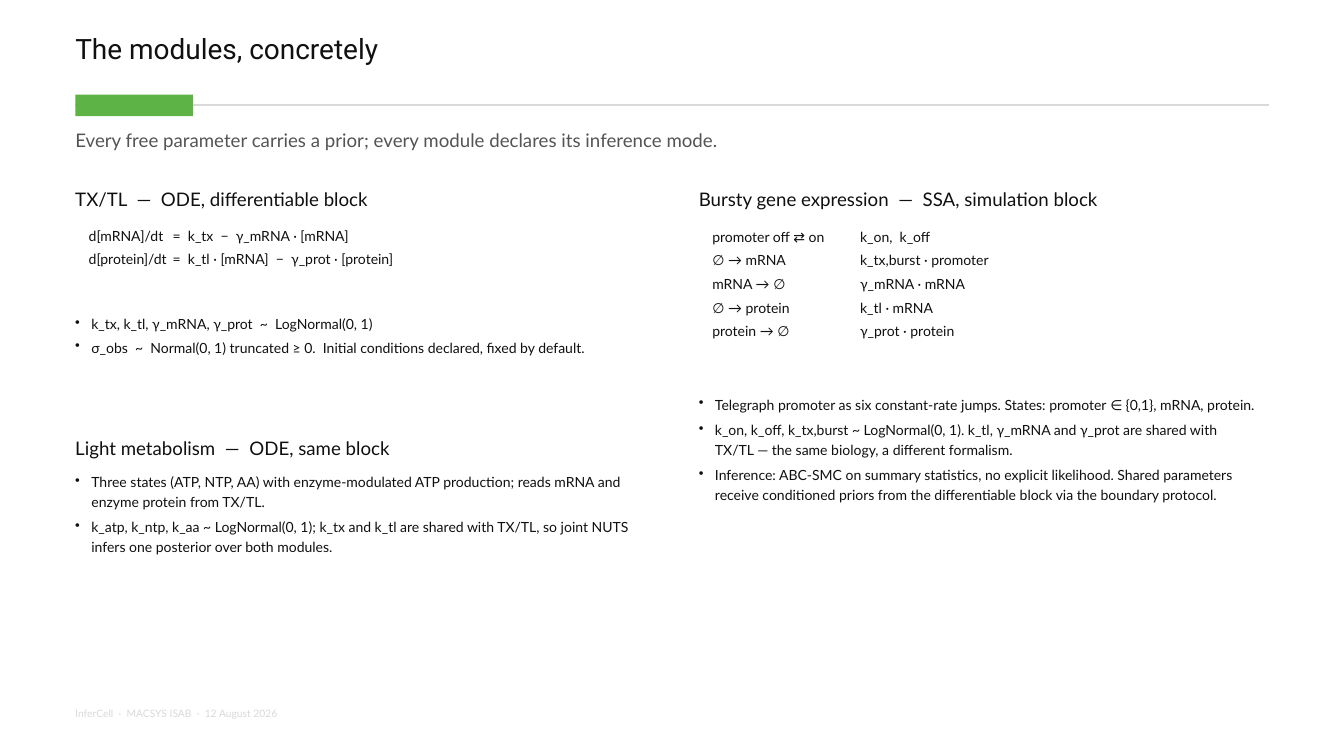
"""Build the slide that lists the model modules with their equations and priors."""
from lxml.etree import SubElement
from pptx import Presentation
from pptx.dml.color import RGBColor
from pptx.enum.shapes import MSO_CONNECTOR, MSO_SHAPE
from pptx.enum.text import MSO_ANCHOR, MSO_AUTO_SIZE, PP_ALIGN
from pptx.oxml.ns import qn
from pptx.util import Inches, Pt

INK = RGBColor(0x10, 0x10, 0x10)
GREY = RGBColor(0x54, 0x54, 0x54)
PALE = RGBColor(0xD9, 0xD9, 0xD9)
GREEN = RGBColor(0x5E, 0xB3, 0x46)

LEFT, RIGHT = 1.12, 10.4
COLUMN_W, FULL_W = 8.3, 17.75
EQUATION_INDENT = 0.2
BULLET_INDENT = Inches(0.24)


def write(box, lines, size, color=INK, font="Lato", spacing=None, gap=0):
    frame = box.text_frame
    frame.word_wrap = True
    frame.auto_size = MSO_AUTO_SIZE.NONE
    frame.vertical_anchor = MSO_ANCHOR.TOP
    frame.margin_left = frame.margin_right = 0
    frame.margin_top = frame.margin_bottom = 0
    frame.text = "\n".join(lines)
    for number, paragraph in enumerate(frame.paragraphs):
        paragraph.alignment = PP_ALIGN.LEFT
        paragraph.line_spacing = spacing
        paragraph.space_before = Pt(gap if number else 0)
        for run in paragraph.runs:
            run.font.size = Pt(size)
            run.font.name = font
            run.font.color.rgb = color
    return frame.paragraphs


prs = Presentation()
prs.slide_width, prs.slide_height = Inches(20), Inches(11.25)
slide = prs.slides.add_slide(prs.slide_layouts[5])


def add_text(left, top, width, height, lines, size, **style):
    box = slide.shapes.add_textbox(Inches(left), Inches(top), Inches(width), Inches(height))
    return write(box, lines, size, **style)


title = slide.shapes.title
title.left, title.top = Inches(LEFT), Inches(0.51)
title.width, title.height = Inches(FULL_W), Inches(0.95)
write(title, ["The modules, concretely"], 30, font="Roboto", spacing=0.95)

rule = slide.shapes.add_connector(
    MSO_CONNECTOR.STRAIGHT, Inches(LEFT), Inches(1.56), Inches(18.88), Inches(1.56))
rule.line.color.rgb = PALE
rule.line.width = Pt(1.5)
SubElement(rule._element.spPr, qn("a:effectLst"))

accent = slide.shapes.add_shape(
    MSO_SHAPE.RECTANGLE, Inches(LEFT), Inches(1.41), Inches(1.75), Inches(0.32))
accent.shadow.inherit = False
accent.fill.solid()
accent.fill.fore_color.rgb = GREEN
accent.line.fill.background()

add_text(LEFT, 1.92, FULL_W, 0.55,
         ["Every free parameter carries a prior; every module declares its inference mode."],
         20, color=GREY)
add_text(LEFT, 10.52, 12.43, 0.32, ["InferCell  ·  MACSYS ISAB  ·  12 August 2026"],
         11, color=PALE)

headings = [
    (LEFT, 2.8, "TX/TL  —  ODE, differentiable block"),
    (LEFT, 6.5, "Light metabolism  —  ODE, same block"),
    (RIGHT, 2.8, "Bursty gene expression  —  SSA, simulation block"),
]
for left, top, heading in headings:
    add_text(left, top, COLUMN_W, 0.42, [heading], 20)

equation_sets = [
    (LEFT, 1.2, 1.35, 1.25, [
        "d[mRNA]/dt\t=  k_tx  −  γ_mRNA · [mRNA]",
        "d[protein]/dt\t=  k_tl · [mRNA]  −  γ_prot · [protein]",
    ]),
    (RIGHT, 2.3, 1.4, 2.2, [
        "promoter off ⇄ on\tk_on,  k_off",
        "∅ → mRNA\tk_tx,burst · promoter",
        "mRNA → ∅\tγ_mRNA · mRNA",
        "∅ → protein\tk_tl · mRNA",
        "protein → ∅\tγ_prot · protein",
    ]),
]
for left, height, spacing, tab_stop, equations in equation_sets:
    for paragraph in add_text(left + EQUATION_INDENT, 3.3, COLUMN_W - EQUATION_INDENT,
                              height, equations, 15, spacing=spacing):
        tabs = SubElement(paragraph._p.get_or_add_pPr(), qn("a:tabLst"))
        SubElement(tabs, qn("a:tab"), pos=str(Inches(tab_stop)), algn="l")

bullet_lists = [
    (LEFT, 4.65, 1.6, 4, [
        "k_tx, k_tl, γ_mRNA, γ_prot  ~  LogNormal(0, 1)",
        "σ_obs  ~  Normal(0, 1) truncated ≥ 0.  Initial conditions declared, fixed by default.",
    ]),
    (LEFT, 7, 2.6, 6, [
        "Three states (ATP, NTP, AA) with enzyme-modulated ATP production; "
        "reads mRNA and enzyme protein from TX/TL.",
        "k_atp, k_ntp, k_aa ~ LogNormal(0, 1); k_tx and k_tl are shared with TX/TL, "
        "so joint NUTS infers one posterior over both modules.",
    ]),
    (RIGHT, 5.85, 3.4, 6, [
        "Telegraph promoter as six constant-rate jumps. "
        "States: promoter ∈ {0,1}, mRNA, protein.",
        "k_on, k_off, k_tx,burst ~ LogNormal(0, 1). k_tl, γ_mRNA and γ_prot "
        "are shared with TX/TL — the same biology, a different formalism.",
        "Inference: ABC-SMC on summary statistics, no explicit likelihood. "
        "Shared parameters receive conditioned priors from the differentiable block "
        "via the boundary protocol.",
    ]),
]
for left, top, height, gap, points in bullet_lists:
    for paragraph in add_text(left, top, COLUMN_W, height, points, 15, spacing=1.18, gap=gap):
        properties = paragraph._p.get_or_add_pPr()
        properties.set("marL", str(BULLET_INDENT))
        properties.set("indent", str(-BULLET_INDENT))
        SubElement(properties, qn("a:buChar"), char="•")

prs.save("out.pptx")
